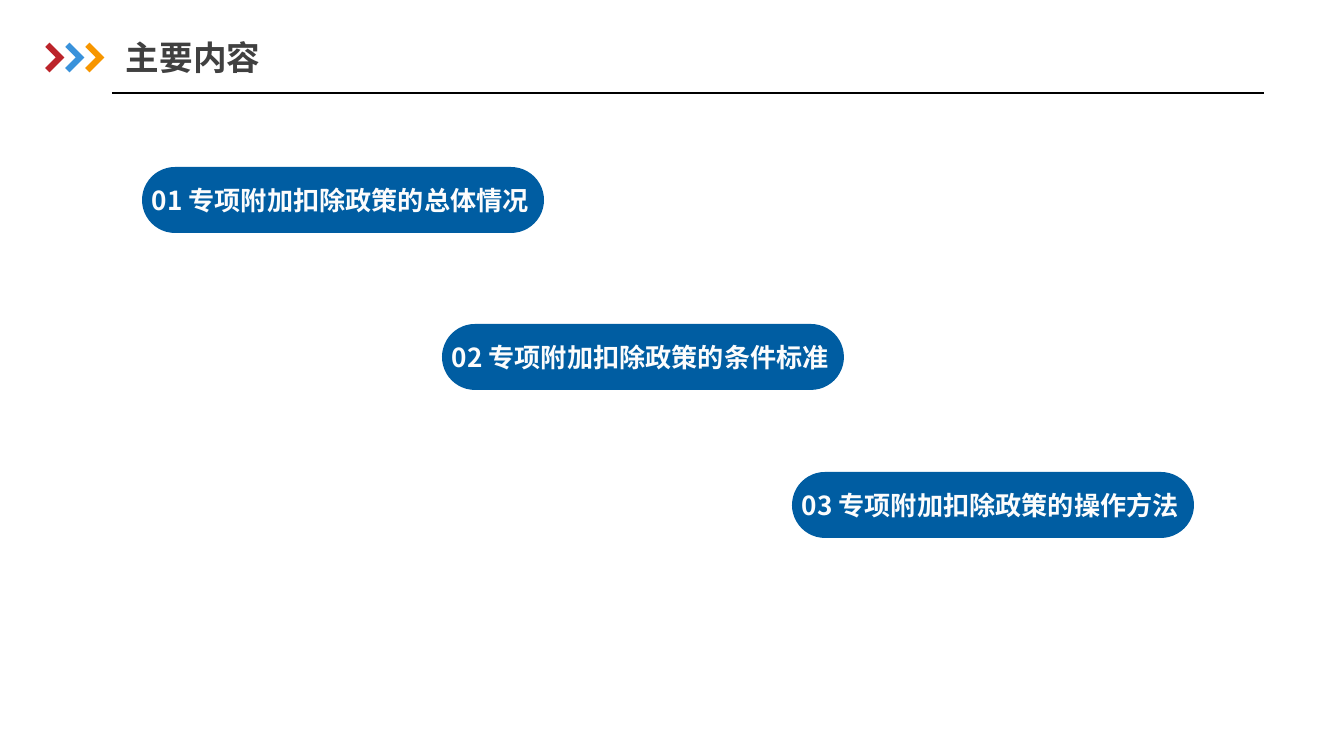
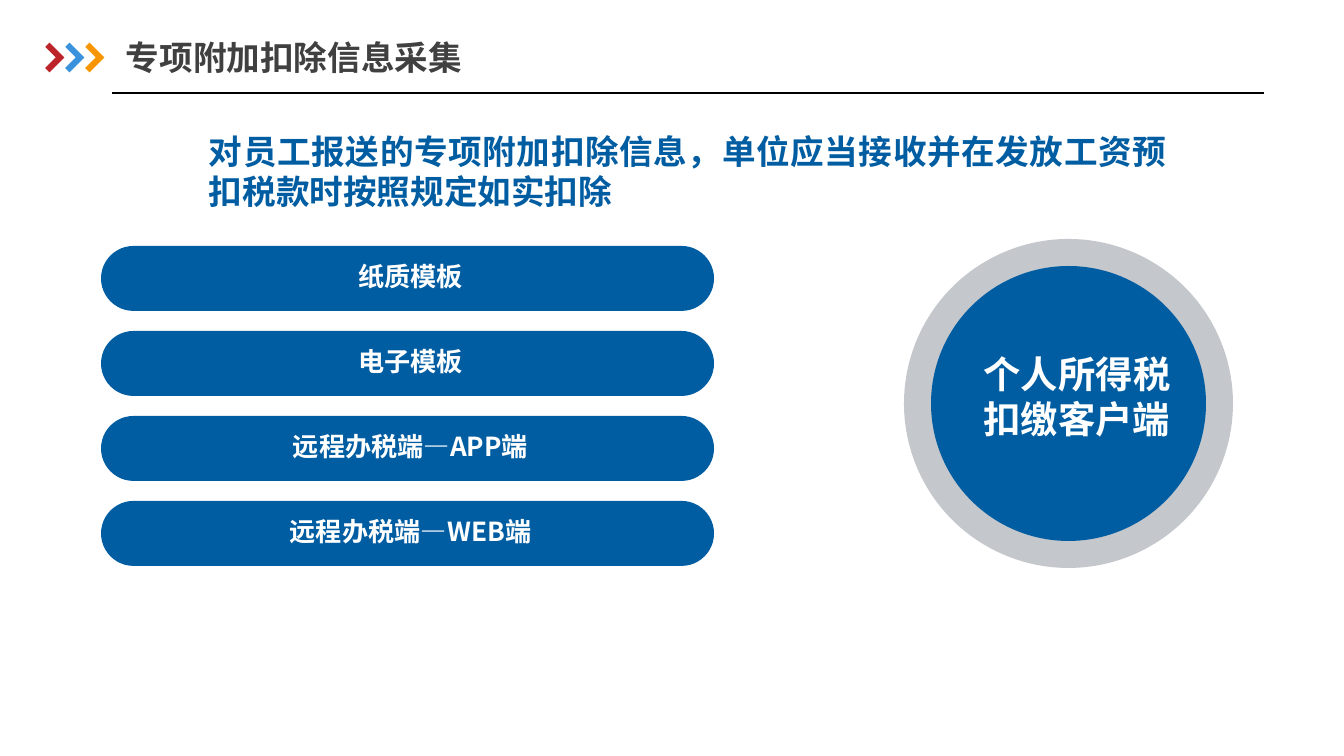
from lxml.etree import SubElement
from pptx import Presentation
from pptx.dml.color import RGBColor
from pptx.enum.shapes import MSO_CONNECTOR, MSO_SHAPE
from pptx.enum.text import MSO_ANCHOR, PP_ALIGN
from pptx.oxml.ns import qn
from pptx.util import Pt

# Content
AGENDA_TITLE = "主要内容"
AGENDA = [  # text, pill left, pill top
    ("01 专项附加扣除政策的总体情况", 142, 167),
    ("02 专项附加扣除政策的条件标准", 442, 324),
    ("03 专项附加扣除政策的操作方法", 792, 472),
]
COLLECTION_TITLE = "专项附加扣除信息采集"
REQUIREMENT = "对员工报送的专项附加扣除信息，单位应当接收并在发放工资预扣税款时按照规定如实扣除"
CHANNELS = ["纸质模板", "电子模板", "远程办税端—APP端", "远程办税端—WEB端"]
CLIENT = "个人所得税扣缴客户端"

# Shared style
COLORS = {
    "title": "404040", "rule": "000000", "blue": "005DA2", "ring": "C4C7CB",
    "white": "FFFFFF", "off_white": "FCFCFC",
    "red": "BC242A", "sky": "3992DB", "orange": "F79600",
}
CHEVRONS = ["red", "sky", "orange"]
FONT = "Noto Sans CJK SC"
INSET_X, INSET_Y = 13, 7


def px(value):
    return round(value * 914400 / 134.4)


def color(name):
    return RGBColor.from_string(COLORS[name])


def write(frame, text, size, ink, align, font=FONT, insets=(0, 0),
          anchor=MSO_ANCHOR.MIDDLE, spacing=None):
    frame.word_wrap = True
    frame.vertical_anchor = anchor
    frame.margin_left = frame.margin_right = px(insets[0])
    frame.margin_top = frame.margin_bottom = px(insets[1])
    frame.text = text
    paragraph = frame.paragraphs[0]
    paragraph.alignment = align
    paragraph.line_spacing = spacing
    paragraph.font.size = Pt(size)
    paragraph.font.bold = True
    paragraph.font.color.rgb = color(ink)
    paragraph.font.name = font
    east_asian = SubElement(paragraph._p.pPr.find(qn("a:defRPr")), qn("a:ea"))
    east_asian.set("typeface", FONT)


def add_text(slide, box, *args, **style):
    label = slide.shapes.add_textbox(*map(px, box))
    write(label.text_frame, *args, **style)


def add_filled(slide, preset, box, fill, adjustments=()):
    shape = slide.shapes.add_shape(preset, *map(px, box))
    shape.shadow.inherit = False
    shape.fill.solid()
    shape.fill.fore_color.rgb = color(fill)
    shape.line.fill.background()
    for index, value in enumerate(adjustments):
        shape.adjustments[index] = value
    return shape


def add_pill(slide, box):
    add_filled(slide, MSO_SHAPE.ROUNDED_RECTANGLE, box, "blue", [0.5])


def add_titled_slide(deck, title, title_width):
    slide = deck.slides.add_slide(deck.slide_layouts[5])
    heading = slide.shapes.title
    heading.left, heading.top = px(126), px(30)
    heading.width, heading.height = px(title_width), px(55)
    write(heading.text_frame, title, 18, "title", PP_ALIGN.LEFT,
          insets=(0, INSET_Y))

    # Rule under the title
    rule = slide.shapes.add_connector(
        MSO_CONNECTOR.STRAIGHT, px(112), px(93), px(1264), px(93))
    rule.line.color.rgb = color("rule")
    rule.line.width = Pt(0.75)
    SubElement(rule._element.spPr, qn("a:effectLst"))

    # Three chevrons
    for index, fill in enumerate(CHEVRONS):
        chevron = add_filled(slide, MSO_SHAPE.CORNER,
                             (39 + 20 * index, 47, 21, 21), fill, [0.28, 0.29])
        chevron.rotation = 225
    return slide


def build_agenda(deck):
    slide = add_titled_slide(deck, AGENDA_TITLE, 378)
    for topic, left, top in AGENDA:
        add_pill(slide, (left, top, 402, 66))
        add_text(slide, (left - 24, top + 10, 445, 46), topic, 14, "off_white",
                 PP_ALIGN.CENTER, insets=(INSET_X, INSET_Y))


def build_collection(deck):
    slide = add_titled_slide(deck, COLLECTION_TITLE, 780)
    add_text(slide, (196, 124, 984, 95), REQUIREMENT, 18, "blue",
             PP_ALIGN.JUSTIFY, font="Calibri", insets=(INSET_X, INSET_Y),
             anchor=MSO_ANCHOR.TOP)

    # Collection channels
    for index, channel in enumerate(CHANNELS):
        top = 246 + 85 * index
        add_pill(slide, (101, top, 613, 65))
        add_text(slide, (47, top + 9, 727, 46), channel, 14, "white",
                 PP_ALIGN.CENTER, spacing=0.9)

    # Client in a ring
    add_filled(slide, MSO_SHAPE.DONUT, (904, 239, 329, 329), "ring", [0.1])
    add_filled(slide, MSO_SHAPE.OVAL, (931, 266, 275, 275), "blue")
    add_text(slide, (974, 344, 206, 105), CLIENT, 20, "white", PP_ALIGN.CENTER)


def main():
    deck = Presentation()
    deck.slide_width, deck.slide_height = px(1344), px(756)
    build_agenda(deck)
    build_collection(deck)
    deck.save("out.pptx")


if __name__ == "__main__":
    main()
